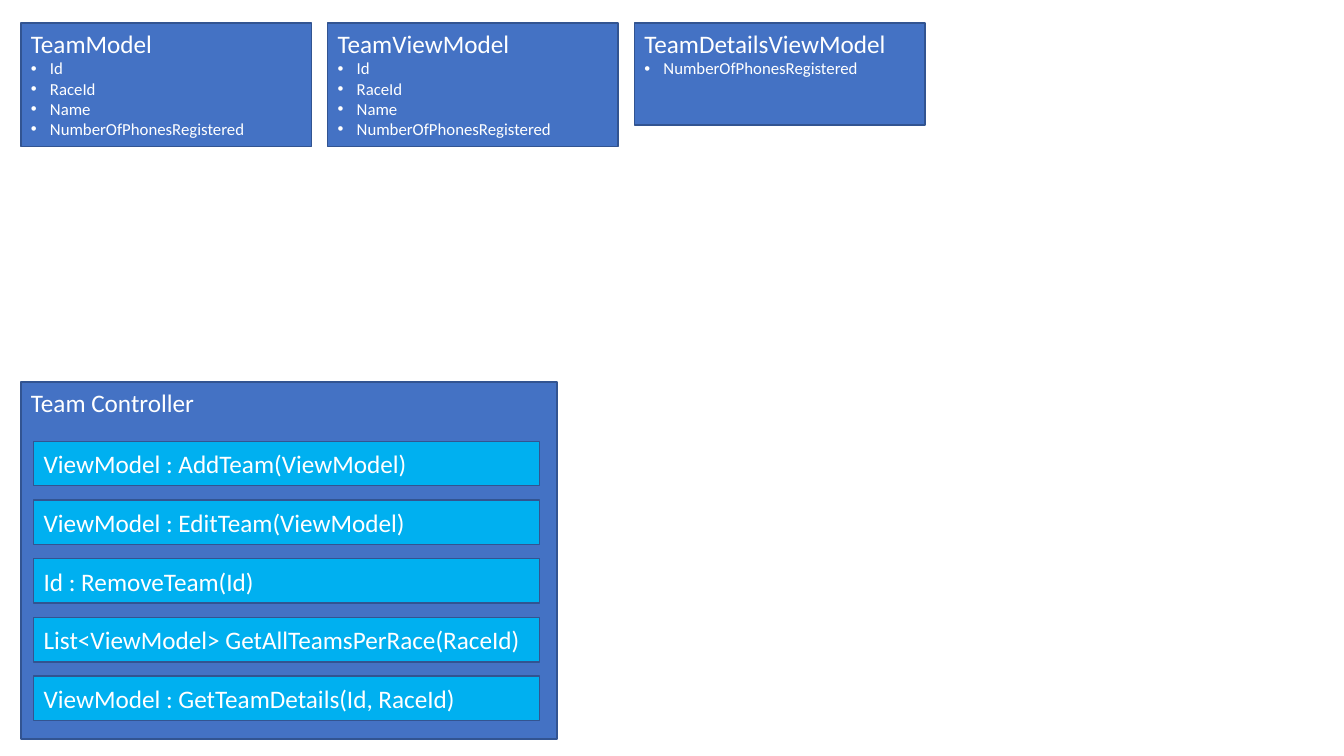
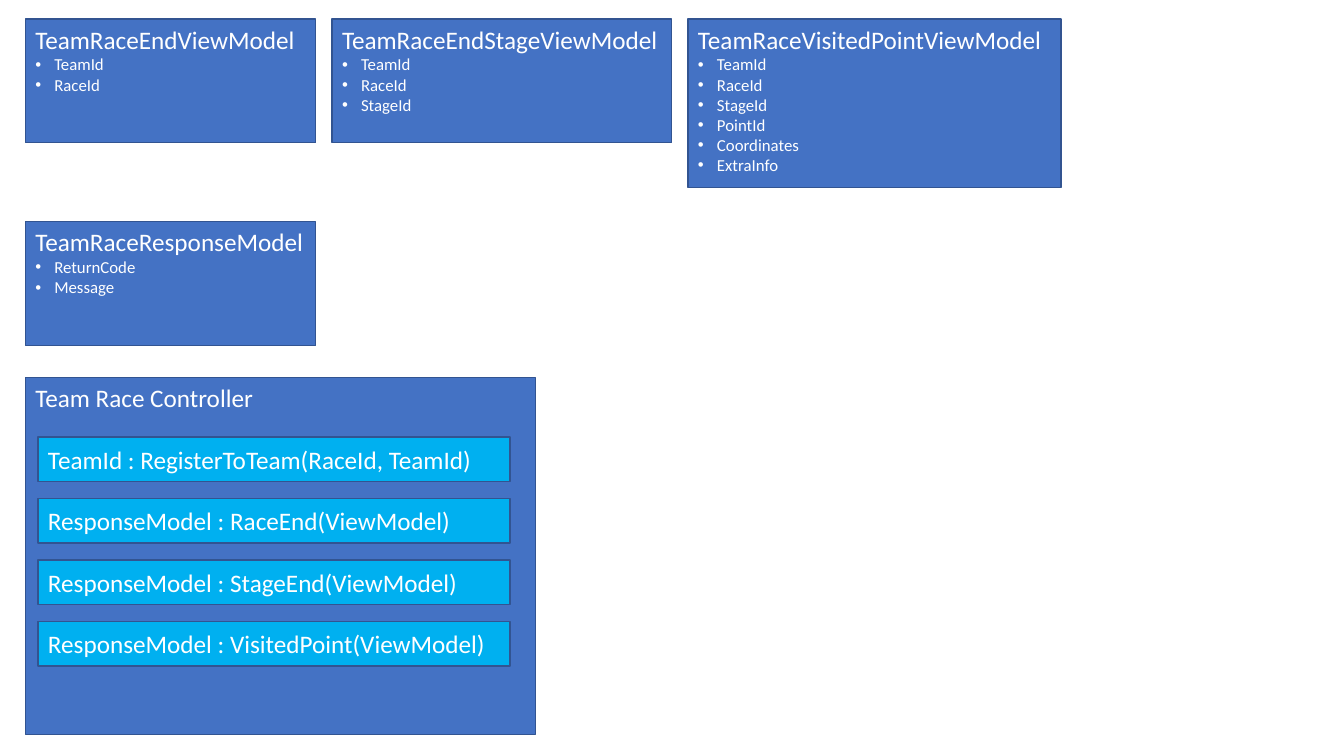
from pptx import Presentation
from pptx.dml.color import RGBColor
from pptx.enum import shapes, text
from pptx.oxml.ns import qn
from pptx.util import Cm, Pt
from lxml import etree

COLORS = {"box": "4472C4", "method": "00B0F0", "line": "325491", "text": "FFFFFF"}
FONT = "Calibri"
TITLE_SIZE, FIELD_SIZE = 18, 12

# All lengths are in centimetres.
MODEL_W, MODEL_H, MODEL_GAP = 7.32, 3.12, 0.41
CONTROLLER_H = 8.99
METHOD_H, METHOD_INSET, METHOD_OFFSET = 1.12, 0.32, 1.49
BULLET_INDENT = 0.48

TEAM_FIELDS = ["Id", "RaceId", "Name", "NumberOfPhonesRegistered"]

# Each model is (title, fields, width, height); each row is (top, models).
SLIDES = [
    {
        "left": 0.53,
        "rows": [
            (0.58, [
                ("TeamModel", TEAM_FIELDS, MODEL_W, MODEL_H),
                ("TeamViewModel", TEAM_FIELDS, MODEL_W, MODEL_H),
                ("TeamDetailsViewModel", ["NumberOfPhonesRegistered"], MODEL_W, 2.57),
            ]),
        ],
        "controller": {
            "title": "Team Controller",
            "top": 9.63, "width": 13.51, "method_width": 12.75, "pitch": 1.48,
            "methods": [
                "ViewModel : AddTeam(ViewModel)",
                "ViewModel : EditTeam(ViewModel)",
                "Id : RemoveTeam(Id)",
                "List<ViewModel> GetAllTeamsPerRace(RaceId)",
                "ViewModel : GetTeamDetails(Id, RaceId)",
            ],
        },
    },
    {
        "left": 0.64,
        "rows": [
            (0.48, [
                ("TeamRaceEndViewModel", ["TeamId", "RaceId"], MODEL_W, MODEL_H),
                ("TeamRaceEndStageViewModel", ["TeamId", "RaceId", "StageId"], 8.56, MODEL_H),
                ("TeamRaceVisitedPointViewModel",
                 ["TeamId", "RaceId", "StageId", "PointId", "Coordinates", "ExtraInfo"],
                 9.4, 4.24),
            ]),
            (5.59, [
                ("TeamRaceResponseModel", ["ReturnCode", "Message"], MODEL_W, MODEL_H),
            ]),
        ],
        "controller": {
            "title": "Team Race Controller",
            "top": 9.52, "width": 12.85, "method_width": 11.89, "pitch": 1.55,
            "methods": [
                "TeamId : RegisterToTeam(RaceId, TeamId)",
                "ResponseModel : RaceEnd(ViewModel)",
                "ResponseModel : StageEnd(ViewModel)",
                "ResponseModel : VisitedPoint(ViewModel)",
            ],
        },
    },
]


def rgb(name):
    return RGBColor.from_string(COLORS[name])


def add_bullet(p):
    pPr = p._p.get_or_add_pPr()
    pPr.set("marL", str(Cm(BULLET_INDENT)))
    pPr.set("indent", str(-Cm(BULLET_INDENT)))
    etree.SubElement(pPr, qn("a:buFont")).set("typeface", "Arial")
    etree.SubElement(pPr, qn("a:buChar")).set("char", "•")


def add_box(s, left, top, width, height, title, fields=(), fill="box",
            anchor=text.MSO_ANCHOR.TOP):
    """Draw a rectangle holding a title and a bulleted list of fields."""
    sp = s.shapes.add_shape(shapes.MSO_SHAPE.RECTANGLE,
                            Cm(left), Cm(top), Cm(width), Cm(height))
    sp.shadow.inherit = False
    sp.fill.solid()
    sp.fill.fore_color.rgb = rgb(fill)
    sp.line.color.rgb = rgb("line")
    sp.line.width = Pt(1)
    tf = sp.text_frame
    tf.word_wrap = True
    tf.vertical_anchor = anchor
    tf.text = "\n".join([title, *fields])
    for i, p in enumerate(tf.paragraphs):
        p.alignment = text.PP_ALIGN.LEFT
        font = p.runs[0].font
        font.name = FONT
        font.size = Pt(FIELD_SIZE if i else TITLE_SIZE)
        font.color.rgb = rgb("text")
        if i:
            add_bullet(p)


def add_model_row(s, left, top, models):
    for title, fields, width, height in models:
        add_box(s, left, top, width, height, title, fields)
        left += width + MODEL_GAP


def add_controller(s, left, controller):
    top = controller["top"]
    add_box(s, left, top, controller["width"], CONTROLLER_H, controller["title"])
    for i, method in enumerate(controller["methods"]):
        add_box(s, left + METHOD_INSET, top + METHOD_OFFSET + i * controller["pitch"],
                controller["method_width"], METHOD_H, method,
                fill="method", anchor=text.MSO_ANCHOR.MIDDLE)


def main():
    prs = Presentation()
    prs.slide_width, prs.slide_height = Cm(33.87), Cm(19.05)
    for content in SLIDES:
        s = prs.slides.add_slide(prs.slide_layouts[6])
        for top, models in content["rows"]:
            add_model_row(s, content["left"], top, models)
        add_controller(s, content["left"], content["controller"])
    prs.save("out.pptx")


if __name__ == "__main__":
    main()
